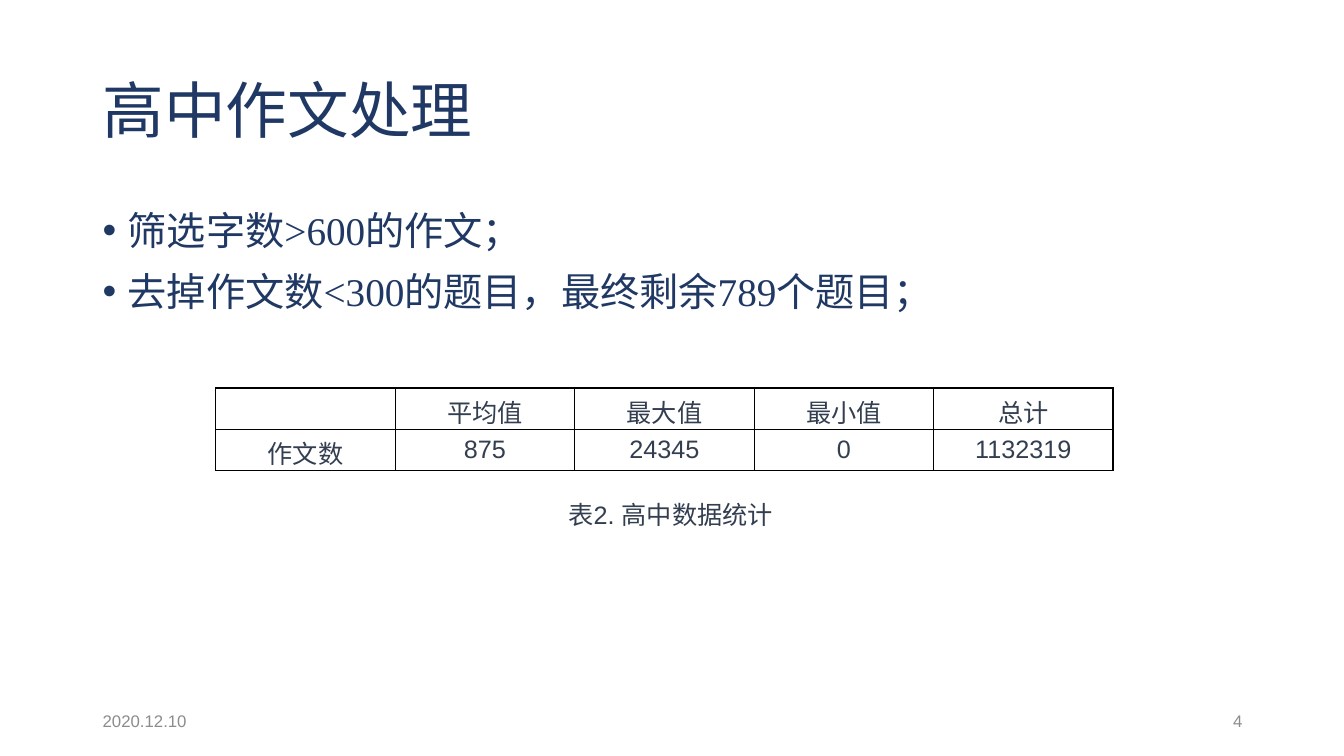
from dataclasses import dataclass

from lxml.etree import SubElement
from pptx import Presentation
from pptx.dml.color import RGBColor as Color
from pptx.enum.text import MSO_ANCHOR as Anchor, PP_ALIGN as Align
from pptx.oxml.ns import qn
from pptx.slide import Slide
from pptx.table import _Cell as Cell
from pptx.text.text import _Paragraph as Paragraph
from pptx.util import Inches, Pt


@dataclass(frozen=True)
class TextStyle:
    font: str
    size: int
    color: str


@dataclass(frozen=True)
class Theme:
    title: TextStyle = TextStyle("Times New Roman", 44, "203864")
    body: TextStyle = TextStyle("Times New Roman", 28, "203864")
    data: TextStyle = TextStyle("Arial", 18, "333F50")
    footer: TextStyle = TextStyle("Arial", 12, "8C8C8C")
    border: str = "000000"
    border_width: int = 1


@dataclass(frozen=True)
class TextBlock:
    left: float
    top: float
    width: float
    height: float
    lines: tuple[str, ...]
    style: TextStyle
    anchor: Anchor = Anchor.TOP
    align: Align = Align.LEFT
    line_spacing: float = 1.0
    bulleted: bool = False


THEME = Theme()
MARGIN, CONTENT_WIDTH = 0.92, 11.5
FOOTER_TOP, FOOTER_WIDTH, FOOTER_HEIGHT = 6.95, 3, 0.4

TEXT_BLOCKS = (
    TextBlock(MARGIN, 0.4, CONTENT_WIDTH, 1.45, ("高中作文处理",), THEME.title,
              Anchor.MIDDLE, line_spacing=0.9),
    TextBlock(MARGIN, 2, CONTENT_WIDTH, 4.76,
              ("筛选字数>600的作文；", "去掉作文数<300的题目，最终剩余789个题目；"),
              THEME.body, bulleted=True),
    TextBlock(MARGIN, FOOTER_TOP, FOOTER_WIDTH, FOOTER_HEIGHT, ("2020.12.10",),
              THEME.footer, Anchor.MIDDLE),
    TextBlock(MARGIN + CONTENT_WIDTH - FOOTER_WIDTH, FOOTER_TOP, FOOTER_WIDTH,
              FOOTER_HEIGHT, ("4",), THEME.footer, Anchor.MIDDLE, Align.RIGHT),
    TextBlock(5.54, 4.9, 2.25, 0.4, ("表2. 高中数据统计",), THEME.data),
)

STATISTICS = (
    ("", "平均值", "最大值", "最小值", "总计"),
    ("作文数", "875", "24345", "0", "1132319"),
)
TABLE_LEFT, TABLE_TOP = 2.14, 3.85
COLUMN_WIDTH, ROW_HEIGHT = 1.78, 0.41


def add_span(para: Paragraph, text: str, style: TextStyle) -> None:
    span = para.add_run()
    span.text = text
    span.font.name = style.font
    span.font.size = Pt(style.size)
    span.font.color.rgb = Color.from_string(style.color)


def add_bullet(para: Paragraph) -> None:
    """Give the paragraph a hanging bullet and the space above it."""
    para.space_before = Pt(10)
    properties = para._p.get_or_add_pPr()
    properties.set("marL", str(Inches(0.25)))
    properties.set("indent", str(Inches(-0.25)))
    SubElement(properties, qn("a:buFont"), typeface="Arial")
    SubElement(properties, qn("a:buChar"), char="•")


def add_text_block(page: Slide, block: TextBlock) -> None:
    box = page.shapes.add_textbox(Inches(block.left), Inches(block.top),
                                  Inches(block.width), Inches(block.height))
    frame = box.text_frame
    frame.word_wrap = True
    frame.vertical_anchor = block.anchor
    for index, line in enumerate(block.lines):
        para = frame.add_paragraph() if index else frame.paragraphs[0]
        para.alignment = block.align
        para.line_spacing = block.line_spacing
        if block.bulleted:
            add_bullet(para)
        add_span(para, line, block.style)


def add_borders(cell: Cell) -> None:
    properties = cell._tc.get_or_add_tcPr()
    for index, side in enumerate(("lnL", "lnR", "lnT", "lnB")):
        line = properties.makeelement(qn(f"a:{side}"),
                                      {"w": str(Pt(THEME.border_width))})
        fill = SubElement(line, qn("a:solidFill"))
        SubElement(fill, qn("a:srgbClr"), val=THEME.border)
        properties.insert(index, line)


def add_statistics_table(page: Slide) -> None:
    row_count, column_count = len(STATISTICS), len(STATISTICS[0])
    table = page.shapes.add_table(
        row_count, column_count, Inches(TABLE_LEFT), Inches(TABLE_TOP),
        Inches(COLUMN_WIDTH * column_count), Inches(ROW_HEIGHT * row_count)).table
    table.first_row = False
    table.horz_banding = False
    for column in table.columns:
        column.width = Inches(COLUMN_WIDTH)
    for row, values in zip(table.rows, STATISTICS):
        row.height = Inches(ROW_HEIGHT)
        for cell, value in zip(row.cells, values):
            cell.fill.background()
            cell.vertical_anchor = Anchor.MIDDLE
            add_borders(cell)
            para = cell.text_frame.paragraphs[0]
            para.alignment = Align.CENTER
            if value:
                add_span(para, value, THEME.data)


def main() -> None:
    deck = Presentation()
    deck.slide_width, deck.slide_height = Inches(13.33), Inches(7.5)
    page = deck.slides.add_slide(deck.slide_layouts[6])
    for block in TEXT_BLOCKS:
        add_text_block(page, block)
    add_statistics_table(page)
    deck.save("out.pptx")


if __name__ == "__main__":
    main()
